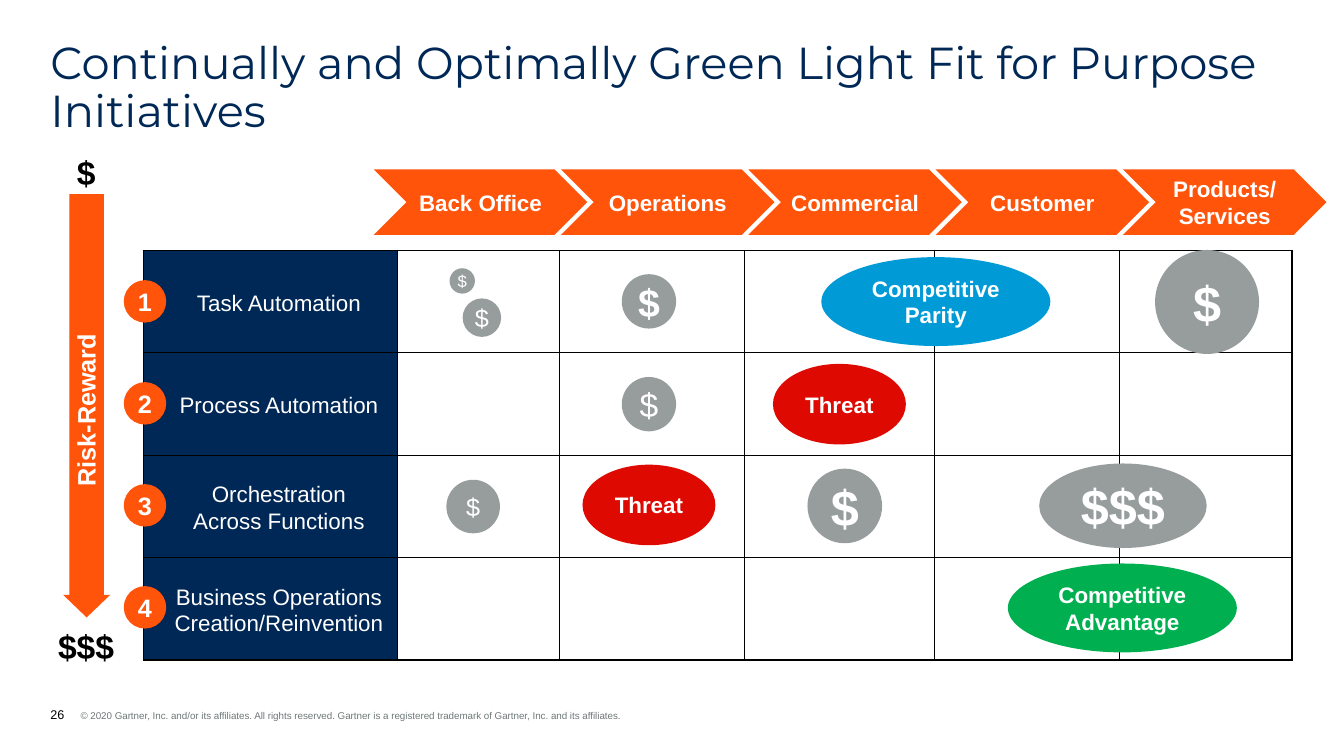
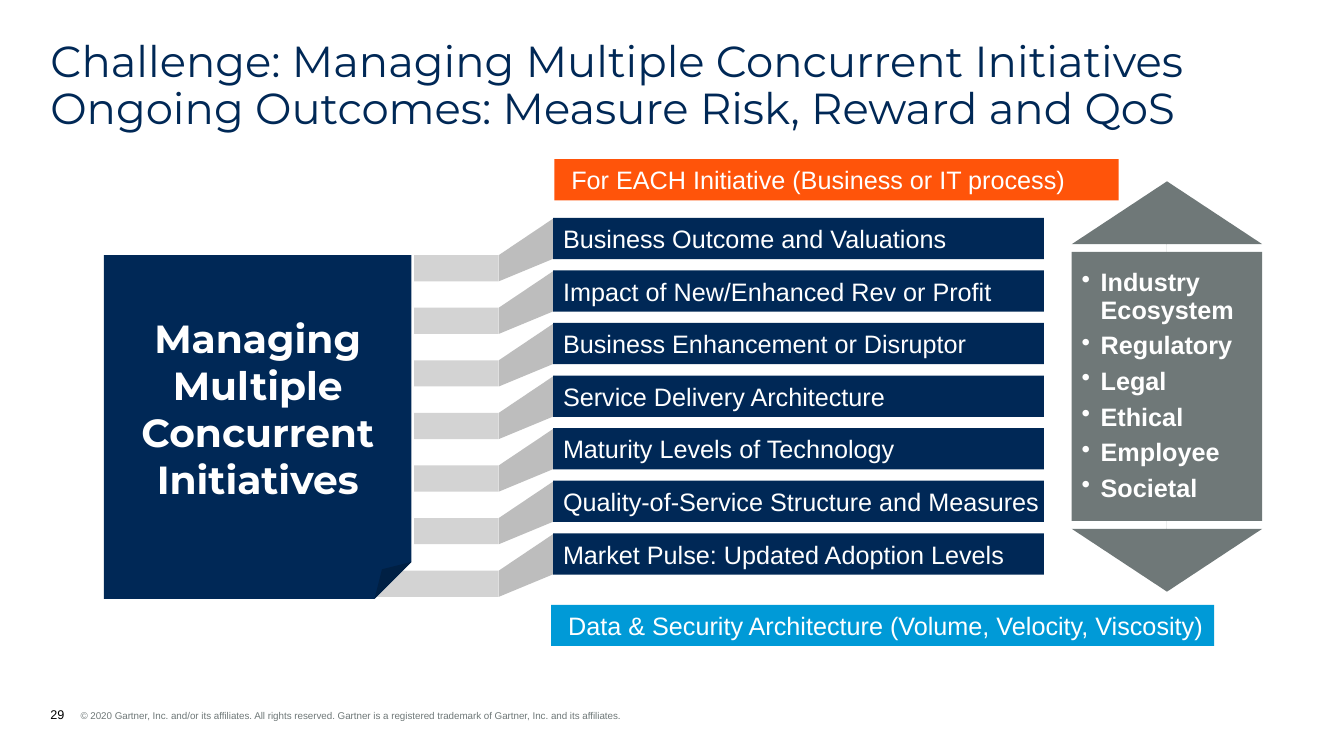
from lxml.etree import SubElement
from pptx import Presentation
from pptx.dml.color import RGBColor
from pptx.enum.shapes import MSO_SHAPE as SHAPE
from pptx.enum.text import MSO_ANCHOR as ANCHOR, PP_ALIGN as ALIGN
from pptx.oxml.ns import qn
from pptx.util import Cm, Pt

NAVY, ORANGE, BLUE = "002856", "FF540A", "009AD7"
RED, GREEN = "DE0A01", "00B050"
SLATE, COIN, FOLD, STRIP = "6F7878", "979D9D", "BDBDBD", "D3D3D3"
WHITE, BLACK = "FFFFFF", "000000"
BODY, HEAD = "Arial", "Montserrat"
COPYRIGHT = ("© 2020 Gartner, Inc. and/or its affiliates. All rights reserved. "
             "Gartner is a registered trademark of Gartner, Inc. and its affiliates.")


def rgb(value):
    """Turn a hex string into a colour."""
    return RGBColor.from_string(value)


def add_run(p, text, size, color=WHITE, bold=False, font=BODY):
    """Add one formatted run to a paragraph."""
    r = p.add_run()
    r.text = text
    f = r.font
    f.name, f.size, f.bold = font, Pt(size), bold
    f.color.rgb = rgb(color)


def setup_frame(sp, anchor=ANCHOR.MIDDLE, insets=(0, 0, 0, 0)):
    """Set wrapping, anchor and insets, and return the text frame."""
    tf = sp.text_frame
    tf.word_wrap, tf.vertical_anchor = True, anchor
    tf.margin_left, tf.margin_top, tf.margin_right, tf.margin_bottom = map(Cm, insets)
    return tf


def paragraphs(tf, count):
    """Return the given number of paragraphs of a fresh text frame."""
    return [tf.paragraphs[0]] + [tf.add_paragraph() for _ in range(count - 1)]


def hang(p, left):
    """Give a paragraph a hanging indent and return its properties."""
    ppr = p._p.get_or_add_pPr()
    ppr.set("marL", str(Cm(left)))
    ppr.set("indent", str(-Cm(left)))
    return ppr


def write(sp, lines, size, color=WHITE, bold=False, font=BODY,
          align=ALIGN.CENTER, **frame):
    """Write one paragraph per line into a shape."""
    tf = setup_frame(sp, **frame)
    for p, line in zip(paragraphs(tf, len(lines)), lines):
        p.alignment = align
        add_run(p, line, size, color, bold, font)


def paint(sp, color):
    """Give a shape a plain fill without line or shadow."""
    sp.shadow.inherit = False
    sp.fill.solid()
    sp.fill.fore_color.rgb = rgb(color)
    sp.line.fill.background()


def add_box(s, kind, x, y, w, h, color, **adjust):
    """Add a plain preset shape with named adjustments."""
    sp = s.shapes.add_shape(kind, Cm(x), Cm(y), Cm(w), Cm(h))
    paint(sp, color)
    if adjust:
        guides = sp._element.spPr.find(qn("a:prstGeom")).get_or_add_avLst()
        for guide in list(guides):
            guides.remove(guide)
        for name, value in adjust.items():
            SubElement(guides, qn("a:gd"), name=name, fmla=f"val {round(value * 100000)}")
    return sp


def add_textbox(s, x, y, w, h):
    """Add an empty text box."""
    return s.shapes.add_textbox(Cm(x), Cm(y), Cm(w), Cm(h))


def add_bar(s, x, y, w, text, color, indent):
    """Add a wide bar with left-aligned text."""
    sp = add_box(s, SHAPE.RECTANGLE, x, y, w, 1.04, color)
    write(sp, [text], 18, align=ALIGN.LEFT, insets=(indent, 0, 0, 0))


def new_slide(prs, title, size, number):
    """Add a slide with its title and footer."""
    s = prs.slides.add_slide(prs.slide_layouts[6])
    sp = add_textbox(s, 1.27, 1.02, 31.32, 1.22)
    write(sp, [title], size, NAVY, font=HEAD, align=ALIGN.LEFT, anchor=ANCHOR.TOP)
    sp.text_frame.paragraphs[0].line_spacing = 0.9
    tf = setup_frame(add_textbox(s, 1.27, 17.81, 19.94, 0.38), ANCHOR.BOTTOM)
    p = tf.paragraphs[0]
    tabs = SubElement(hang(p, 0.76), qn("a:tabLst"))
    SubElement(tabs, qn("a:tab"), pos=str(Cm(0.81)), algn="l")
    add_run(p, number, 9, BLACK)
    add_run(p, "\t" + COPYRIGHT, 7, SLATE)
    return s


def style_cell(cell, sides, fill=None):
    """Draw black borders on the given sides and set the fill."""
    tcpr = cell._tc.get_or_add_tcPr()
    for side in sides:
        ln = SubElement(tcpr, qn("a:ln" + side), w=str(Pt(1)))
        SubElement(SubElement(ln, qn("a:solidFill")), qn("a:srgbClr"), val=BLACK)
    if fill:
        cell.fill.solid()
        cell.fill.fore_color.rgb = rgb(fill)
    else:
        cell.fill.background()


def add_grid(s):
    """Add the table behind the initiatives."""
    widths = (6.4, 4.09, 4.67, 4.78, 4.67, 4.34)
    tbl = s.shapes.add_table(5, len(widths), Cm(3.61), Cm(3.73),
                             Cm(sum(widths)), Cm(12.9)).table
    tbl.first_row = tbl.horz_banding = False
    for col, width in zip(tbl.columns, widths):
        col.width = Cm(width)
    for i, row in enumerate(tbl.rows):
        for j, cell in enumerate(row.cells):
            style_cell(cell, "LRTB" if i else "B", NAVY if i and j == 0 else None)


def add_chevrons(s):
    """Add the row of business areas."""
    areas = ("Back Office", "Operations", "Commercial", "Customer", "Products/\nServices")
    for i, area in enumerate(areas):
        width = 5.13 if area == areas[-1] else 5.38
        sp = add_box(s, SHAPE.CHEVRON, 9.42 + 4.72 * i, 4.27, width, 1.65, ORANGE)
        p = setup_frame(sp).paragraphs[0]
        p.alignment = ALIGN.CENTER
        for k, part in enumerate(area.split("\n")):
            if k:
                p.add_line_break()
            add_run(p, part, 16, bold=True)


def add_levels(s):
    """Add the row labels with their numbers."""
    levels = (["Task Automation"], ["Process Automation"],
              ["Orchestration", "Across Functions"],
              ["Business Operations", "Creation/Reinvention"])
    for i, lines in enumerate(levels):
        sp = add_box(s, SHAPE.RECTANGLE, 4.34, 6.73 + 2.58 * i, 5.38, 1.78, NAVY)
        write(sp, lines, 16)
        sp = add_box(s, SHAPE.OVAL, 3.12, 7.06 + 2.57 * i, 1.07, 1.07, ORANGE)
        write(sp, [str(i + 1)], 18, bold=True)


def add_risk_arrow(s):
    """Add the risk-reward arrow with its end labels."""
    add_box(s, SHAPE.DOWN_ARROW, 1.59, 4.89, 1.19, 10.67, ORANGE, adj1=0.73, adj2=0.48)
    sp = add_textbox(s, 0.1, 9.7, 4.11, 1.02)
    sp.rotation = 270
    write(sp, ["Risk-Reward"], 18, bold=True, insets=(0, 0.13, 0.25, 0.13))
    for text, x, y, w in (("$", 1.83, 3.71, 0.69), ("$$$", 1.27, 15.65, 1.8)):
        write(add_textbox(s, x, y, w, 1.27), [text], 24, BLACK, True,
              anchor=ANCHOR.TOP, insets=(0, 0.13, 0, 0.13))


def add_initiatives(s):
    """Add the ellipses that rate each initiative."""
    for x, y, w, h, text, size, bold, color in (
            (11.66, 7.52, 0.97, 0.97, "$", 18, False, COIN),
            (11.33, 6.76, 0.64, 0.64, "$", 12, False, COIN),
            (15.67, 9.5, 1.37, 1.37, "$", 24, False, COIN),
            (20.35, 11.81, 1.88, 1.88, "$", 36, True, COIN),
            (11.25, 12.09, 1.35, 1.35, "$", 18, False, COIN),
            (15.67, 6.91, 1.37, 1.37, "$", 28, True, COIN),
            (26.19, 11.68, 4.22, 2.13, "$$$", 36, True, COIN),
            (29.11, 6.3, 2.62, 2.62, "$", 36, True, COIN),
            (14.68, 11.71, 3.35, 2.03, "Threat", 16, True, RED),
            (19.48, 9.17, 3.35, 2.03, "Threat", 16, True, RED),
            (20.7, 6.48, 5.77, 2.24, "Competitive Parity", 16, True, BLUE),
            (25.4, 14.2, 5.77, 2.24, "Competitive Advantage", 16, True, GREEN)):
        write(add_box(s, SHAPE.OVAL, x, y, w, h, color), [text], size, bold=bold)


def add_fold(s, y):
    """Add the slanted link between a strip and its bar."""
    points = [(Cm(x), Cm(y + dy)) for x, dy in
              ((12.57, 0.94), (13.97, 0), (13.97, 1.02), (12.57, 1.6))]
    fb = s.shapes.build_freeform(*points[0], scale=1.0)
    fb.add_line_segments(points[1:], close=True)
    paint(fb.convert_to_shape(), FOLD)


def add_topics(s):
    """Add the fan of topics that leads out of the main card."""
    topics = ("Business Outcome and Valuations", "Impact of New/Enhanced Rev or Profit",
              "Business Enhancement or Disruptor", "Service Delivery Architecture",
              "Maturity Levels of Technology", "Quality-of-Service Structure and Measures",
              "Market Pulse: Updated Adoption Levels")
    top, bottom = 5.49, 13.44
    step = (bottom - top) / (len(topics) - 1)
    for i, topic in enumerate(topics):
        y = top + step * i
        left = 8.97 if topic == topics[-1] else 10.44
        add_fold(s, y)
        add_box(s, SHAPE.RECTANGLE, left, y + 0.94, 12.57 - left, 0.66, STRIP)
        add_bar(s, 13.94, y, 12.37, topic, NAVY, 0.25)


def add_forces(s):
    """Add the double arrow with the list of outside forces."""
    add_box(s, SHAPE.UP_DOWN_ARROW, 27.01, 4.57, 4.8, 10.34, SLATE, adj1=0, adj2=0.33)
    sp = add_box(s, SHAPE.RECTANGLE, 27.01, 6.35, 4.8, 6.78, SLATE)
    forces = ("Industry Ecosystem", "Regulatory", "Legal", "Ethical", "Employee", "Societal")
    tf = setup_frame(sp, insets=(0.25, 0.13, 0.25, 0.13))
    for i, (p, force) in enumerate(zip(paragraphs(tf, len(forces)), forces)):
        SubElement(hang(p, 0.48), qn("a:buChar"), char="•")
        p.alignment, p.line_spacing = ALIGN.LEFT, 0.9
        if i:
            p.space_before = Pt(6)
        add_run(p, force, 18, bold=True)


def build_green_light(prs):
    """Build the slide on choosing initiatives."""
    s = new_slide(prs, "Continually and Optimally Green Light Fit for Purpose Initiatives",
                  32, "26")
    add_grid(s)
    add_chevrons(s)
    add_risk_arrow(s)
    add_levels(s)
    add_initiatives(s)


def build_challenge(prs):
    """Build the slide on managing concurrent initiatives."""
    s = new_slide(prs, "Challenge: Managing Multiple Concurrent Initiatives "
                  "Ongoing Outcomes: Measure Risk, Reward and QoS", 31, "29")
    add_forces(s)
    add_topics(s)
    sp = add_box(s, SHAPE.FOLDED_CORNER, 2.62, 6.43, 7.75, 8.66, NAVY, adj=0.12)
    write(sp, ["Managing", "Multiple Concurrent", "Initiatives"], 28, bold=True, font=HEAD)
    add_bar(s, 13.97, 4.01, 14.22, "For EACH Initiative (Business or IT process)",
            ORANGE, 0.43)
    add_bar(s, 13.89, 15.24, 16.71,
            "Data & Security Architecture (Volume, Velocity, Viscosity)", BLUE, 0.43)


def main():
    """Build and save the presentation."""
    prs = Presentation()
    prs.slide_width, prs.slide_height = Cm(33.87), Cm(19.05)
    build_green_light(prs)
    build_challenge(prs)
    prs.save("out.pptx")


if __name__ == "__main__":
    main()
